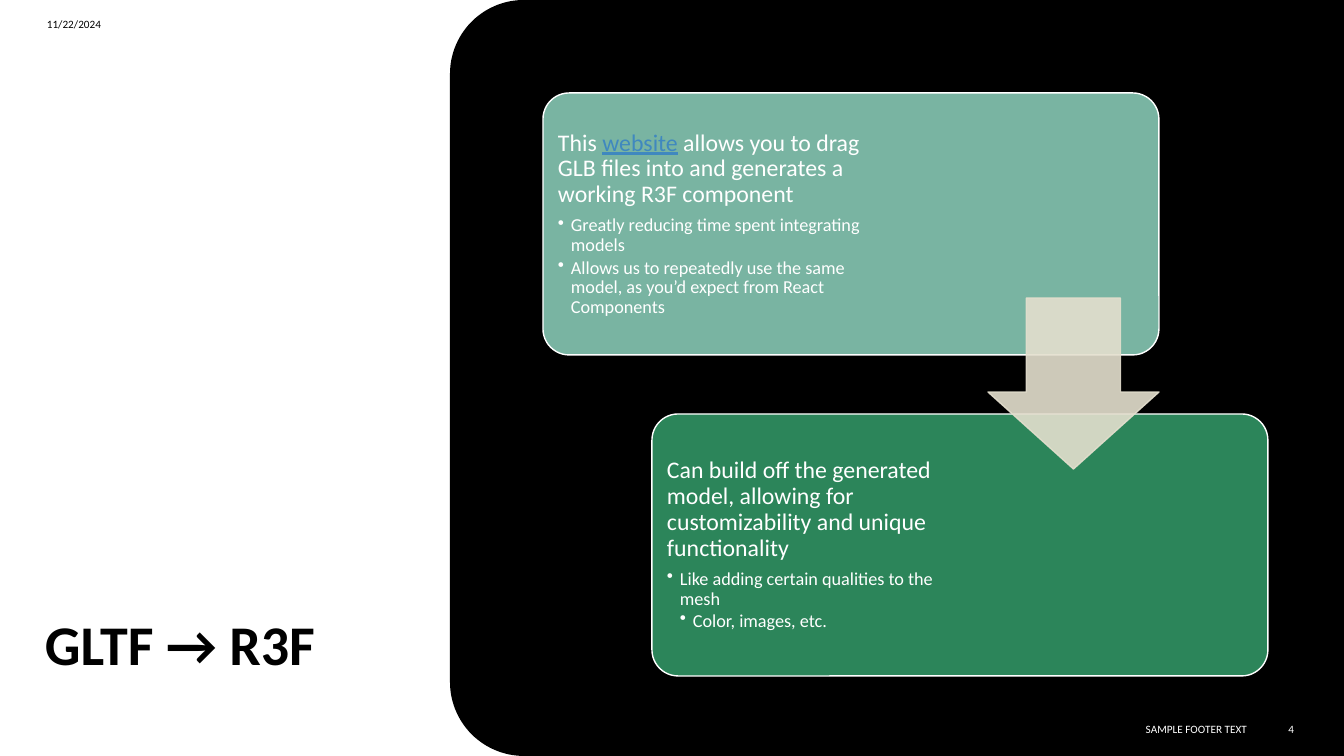
import math

import lxml.etree
import pptx
import pptx.dml.color
import pptx.enum.shapes
import pptx.enum.text
import pptx.oxml.ns
import pptx.util

SHAPES = pptx.enum.shapes.MSO_SHAPE
ALIGN = pptx.enum.text.PP_ALIGN
ANCHOR = pptx.enum.text.MSO_ANCHOR

THEME = {
    "font": "Calibri",
    "white": "FFFFFF", "black": "000000", "link": "3F88BF",
    "sage": "79B4A2", "green": "2C855A", "sand": "E4DFCE",
    "title": 40, "heading": 17, "bullet": 13, "small": 8,
}

# Each line is (bullet level, runs); each run is (text, is_link).
TITLE = [(0, [("GLTF → R3F", False)])]
DATE = [(0, [("11/22/2024", False)])]
FOOTER = [(0, [("SAMPLE FOOTER TEXT", False)])]
NUMBER = [(0, [("4", False)])]
CARDS = [
    {"fill": "sage", "text_width": 345, "lines": [
        (0, [("This ", False), ("website", True),
             (" allows you to drag GLB files into and generates a working R3F component", False)]),
        (1, [("Greatly reducing time spent integrating models", False)]),
        (1, [("Allows us to repeatedly use the same model, as you’d expect from React Components", False)]),
    ]},
    {"fill": "green", "text_width": 322, "lines": [
        (0, [("Can build off the generated model, allowing for customizability and unique functionality", False)]),
        (1, [("Like adding certain qualities to the mesh", False)]),
        (2, [("Color, images, etc.", False)]),
    ]},
]

SLIDE_WIDTH, SLIDE_HEIGHT = 1344, 756
PANEL_LEFT, CORNER = 450, 74
CARD_LEFT, CARD_TOP, CARD_WIDTH, CARD_HEIGHT = 543, 93, 616, 262
CARD_STEP_X, CARD_STEP_Y = 109, 321
CARD_PADDING, CARD_INSET = 8, 7
ARROW_SIZE, ARROW_TOP = 171, 298
BULLET_INDENT = 13
SCALE = pptx.util.Inches(1) / 100.8


def px(length):
    return pptx.util.Emu(round(length * SCALE))


def color(name):
    return pptx.dml.color.RGBColor.from_string(THEME[name])


def paint(shape, fill, line=None):
    shape.shadow.inherit = False
    shape.fill.solid()
    shape.fill.fore_color.rgb = color(fill)
    if line:
        shape.line.color.rgb = color(line)
        shape.line.width = pptx.util.Pt(1)
    else:
        shape.line.fill.background()


def add_shape(slide, kind, box, fill, line=None, adjustments=()):
    shape = slide.shapes.add_shape(kind, *map(px, box))
    for index, value in enumerate(adjustments):
        shape.adjustments[index] = value
    paint(shape, fill, line)
    return shape


def set_opacity(shape, percent):
    for fill in shape.element.spPr.iter(pptx.oxml.ns.qn("a:srgbClr")):
        alpha = lxml.etree.SubElement(fill, pptx.oxml.ns.qn("a:alpha"))
        alpha.set("val", str(percent * 1000))


def add_bullet(paragraph, level):
    paragraph.level = level
    properties = paragraph._p.get_or_add_pPr()
    properties.set("marL", str(px(level * BULLET_INDENT)))
    properties.set("indent", str(-px(BULLET_INDENT)))
    bullet = lxml.etree.SubElement(properties, pptx.oxml.ns.qn("a:buChar"))
    bullet.set("char", "•")


def add_text(slide, lines, box, size="small", ink="black", bold=False, align=ALIGN.LEFT,
             anchor=ANCHOR.MIDDLE, spacing=None, inset=None):
    frame = slide.shapes.add_textbox(*map(px, box)).text_frame
    frame.word_wrap = True
    frame.vertical_anchor = anchor
    if inset is not None:
        frame.margin_left = frame.margin_right = px(inset)
        frame.margin_top = frame.margin_bottom = px(inset)
    for index, (level, runs) in enumerate(lines):
        paragraph = frame.add_paragraph() if index else frame.paragraphs[0]
        if level:
            add_bullet(paragraph, level)
        paragraph.alignment = align
        if spacing:
            paragraph.line_spacing = spacing
        if len(lines) > 1:
            paragraph.space_after = pptx.util.Pt(2 if level else 6)
        for text, is_link in runs:
            run = paragraph.add_run()
            run.text = text
            run.font.name = THEME["font"]
            run.font.size = pptx.util.Pt(THEME["bullet" if level else size])
            run.font.bold = bold
            run.font.underline = is_link
            run.font.color.rgb = color("link" if is_link else ink)


def add_panel(slide):
    """Black panel with its two left corners rounded."""
    arc = [math.radians(angle) for angle in range(0, 91, 3)]
    lower = [(PANEL_LEFT + CORNER * (1 - math.sin(a)),
              SLIDE_HEIGHT - CORNER * (1 - math.cos(a))) for a in arc]
    upper = [(x, SLIDE_HEIGHT - y) for x, y in reversed(lower)]
    points = [(SLIDE_WIDTH, 0), (SLIDE_WIDTH, SLIDE_HEIGHT)] + lower + upper
    points = [(px(x), px(y)) for x, y in points]
    builder = slide.shapes.build_freeform(*points[0])
    builder.add_line_segments(points[1:], close=True)
    paint(builder.convert_to_shape(), "black")


def add_card(slide, index, card):
    left = CARD_LEFT + index * CARD_STEP_X
    top = CARD_TOP + index * CARD_STEP_Y
    add_shape(slide, SHAPES.ROUNDED_RECTANGLE, (left, top, CARD_WIDTH, CARD_HEIGHT),
              card["fill"], "white", [0.1])
    text_box = (left + CARD_PADDING, top + CARD_PADDING,
                card["text_width"], CARD_HEIGHT - 2 * CARD_PADDING)
    add_text(slide, card["lines"], text_box, size="heading", ink="white",
             spacing=0.9, inset=CARD_INSET)


def main():
    presentation = pptx.Presentation()
    presentation.slide_width, presentation.slide_height = px(SLIDE_WIDTH), px(SLIDE_HEIGHT)
    slide = presentation.slides.add_slide(presentation.slide_layouts[6])
    slide.background.fill.solid()
    slide.background.fill.fore_color.rgb = color("black")

    add_shape(slide, SHAPES.RECTANGLE, (0, 0, SLIDE_WIDTH, SLIDE_HEIGHT), "white")
    add_text(slide, TITLE, (35, 91, 381, 592), size="title", bold=True,
             anchor=ANCHOR.BOTTOM, spacing=0.9)
    add_text(slide, DATE, (37, 7, 302, 35))
    add_panel(slide)
    add_text(slide, FOOTER, (809, 709, 448, 40), ink="white", align=ALIGN.RIGHT)
    add_text(slide, NUMBER, (1257, 709, 47, 40), ink="white", align=ALIGN.RIGHT)

    for index, card in enumerate(CARDS):
        add_card(slide, index, card)
    arrow_left = CARD_LEFT + CARD_WIDTH - ARROW_SIZE
    arrow = add_shape(slide, SHAPES.DOWN_ARROW, (arrow_left, ARROW_TOP, ARROW_SIZE, ARROW_SIZE),
                      "sand", "sand", [0.55, 0.45])
    set_opacity(arrow, 90)
    presentation.save("out.pptx")


if __name__ == "__main__":
    main()
